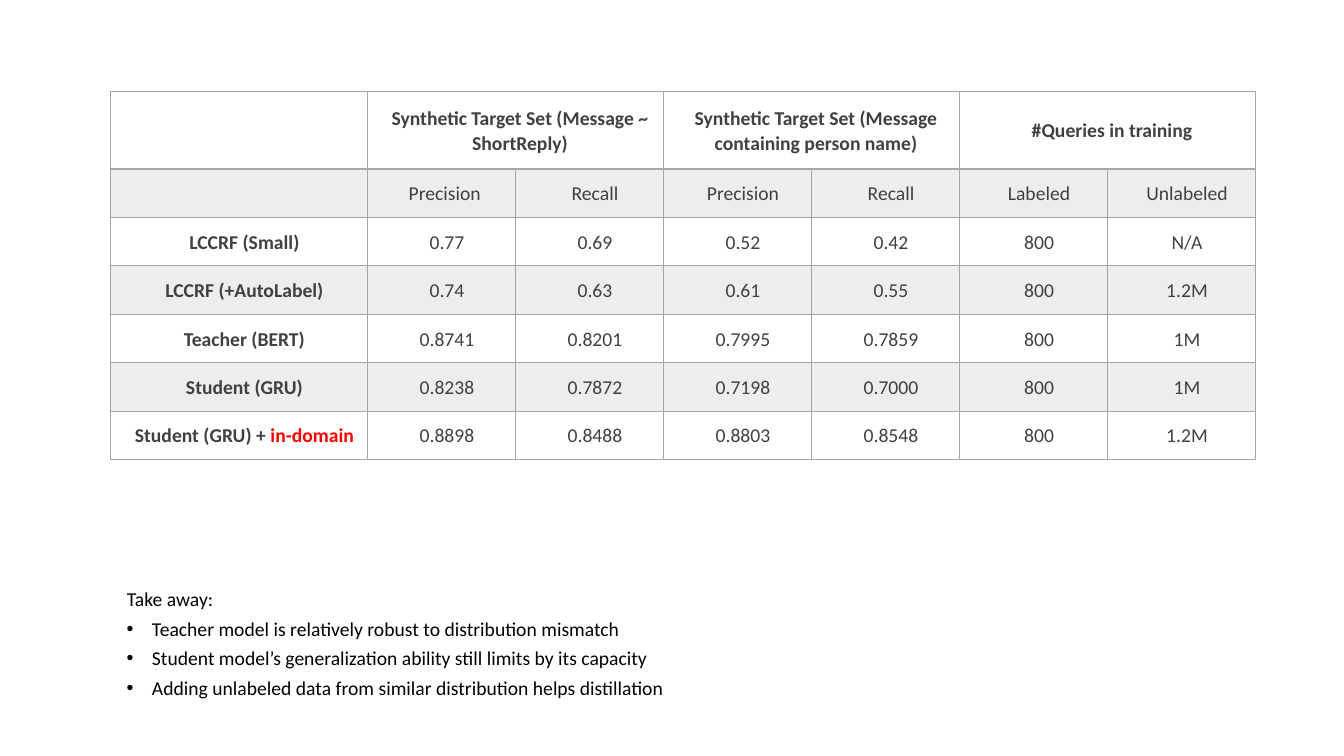
from dataclasses import dataclass

from lxml import etree
from pptx import Presentation
from pptx.dml.color import RGBColor
from pptx.enum.text import MSO_ANCHOR, PP_ALIGN
from pptx.oxml.ns import qn
from pptx.util import Cm, Pt

CENTER = PP_ALIGN.CENTER
MIDDLE = MSO_ANCHOR.MIDDLE


@dataclass
class Theme:
    font: str = "Calibri"
    size: int = 14
    black: str = "000000"
    ink: str = "404040"
    accent: str = "FF0000"
    grey: str = "A5A5A5"
    band_alpha: int = 20000
    thin: int = 1
    thick: int = 2


theme = Theme()


def add_run(p, text, color=theme.ink, bold=False):
    r = p.add_run()
    r.text = text
    r.font.name = theme.font
    r.font.size = Pt(theme.size)
    r.font.bold = bold
    r.font.color.rgb = RGBColor.from_string(color)


def add_border(cell, side, width):
    tcPr = cell._tc.get_or_add_tcPr()
    ln = etree.SubElement(tcPr, qn(f"a:ln{side}"), w=str(Pt(width)))
    solid = etree.SubElement(ln, qn("a:solidFill"))
    etree.SubElement(solid, qn("a:srgbClr"), val=theme.grey)


prs = Presentation()
prs.slide_width = Cm(33.87)
prs.slide_height = Cm(19.05)
s = prs.slides.add_slide(prs.slide_layouts[6])

# Takeaways
takeaways = [
    "Teacher model is relatively robust to distribution mismatch",
    "Student model’s generalization ability still limits by its capacity ",
    "Adding unlabeled data from similar distribution helps distillation",
]
tf = s.shapes.add_textbox(Cm(2.79), Cm(14.73), Cm(29.06), Cm(3.25)).text_frame
tf.word_wrap = True
for i, text in enumerate(["Take away:"] + takeaways):
    p = tf.add_paragraph() if i else tf.paragraphs[0]
    p.line_spacing = 0.9
    p.space_after = Pt(6)
    add_run(p, text, color=theme.black)
    pPr = p._p.get_or_add_pPr()
    pPr.set("marL", str(Cm(0.79 if i else 0.16)))
    pPr.set("indent", str(Cm(-0.64 if i else 0)))
    if i:
        etree.SubElement(pPr, qn("a:buFont"), typeface="Arial")
        etree.SubElement(pPr, qn("a:buChar"), char="•")

# Results table
rows = [
    ["", "Synthetic Target Set (Message ~ ShortReply)", "",
     "Synthetic Target Set (Message containing person name)", "",
     "#Queries in training", ""],
    ["", "Precision ", "Recall", "Precision", "Recall", "Labeled", "Unlabeled"],
    ["LCCRF (Small)", "0.77", "0.69", "0.52", "0.42", "800", "N/A"],
    ["LCCRF (+AutoLabel)", "0.74", "0.63", "0.61", "0.55", "800", "1.2M"],
    ["Teacher (BERT)", "0.8741", "0.8201", "0.7995", "0.7859", "800", "1M"],
    ["Student (GRU)", "0.8238", "0.7872", "0.7198", "0.7000", "800", "1M"],
    ["Student (GRU) + ", "0.8898", "0.8488", "0.8803", "0.8548", "800", "1.2M"],
]
table = s.shapes.add_table(len(rows), len(rows[0]), Cm(2.78), Cm(2.31),
                           Cm(28.86), Cm(9.27)).table
table.first_row = False
table.horz_banding = False
for c, column in enumerate(table.columns):
    column.width = Cm(3.73 if c else 6.48)
for r, row in enumerate(table.rows):
    row.height = Cm(1.22 if r else 1.95)
for c in (1, 3, 5):
    table.cell(0, c).merge(table.cell(0, c + 1))

for r, row in enumerate(rows):
    for c, text in enumerate(row):
        cell = table.cell(r, c)

        # Borders, with a thicker rule under the header
        for side in "LRTB":
            under_header = (r, side) in ((0, "B"), (1, "T"))
            add_border(cell, side, theme.thick if under_header else theme.thin)

        # Shading on every second row
        if r % 2:
            cell.fill.solid()
            cell.fill.fore_color.rgb = RGBColor.from_string(theme.grey)
            tint = cell._tc.tcPr.find(qn("a:solidFill")).find(qn("a:srgbClr"))
            etree.SubElement(tint, qn("a:alpha"), val=str(theme.band_alpha))
        else:
            cell.fill.background()

        # Cell text; empty cells keep the small default margins
        if text:
            cell.vertical_anchor = MIDDLE
            cell.margin_left = Cm(0.56)
            cell.margin_right = cell.margin_top = cell.margin_bottom = Cm(0.28 if r else 0.33)
            p = cell.text_frame.paragraphs[0]
            p.alignment = CENTER
            p.line_spacing = 1.07
            add_run(p, text, bold=r == 0 or c == 0)

# Highlight in the last row label
add_run(table.cell(len(rows) - 1, 0).text_frame.paragraphs[0], "in-domain",
        color=theme.accent, bold=True)

prs.save("out.pptx")
